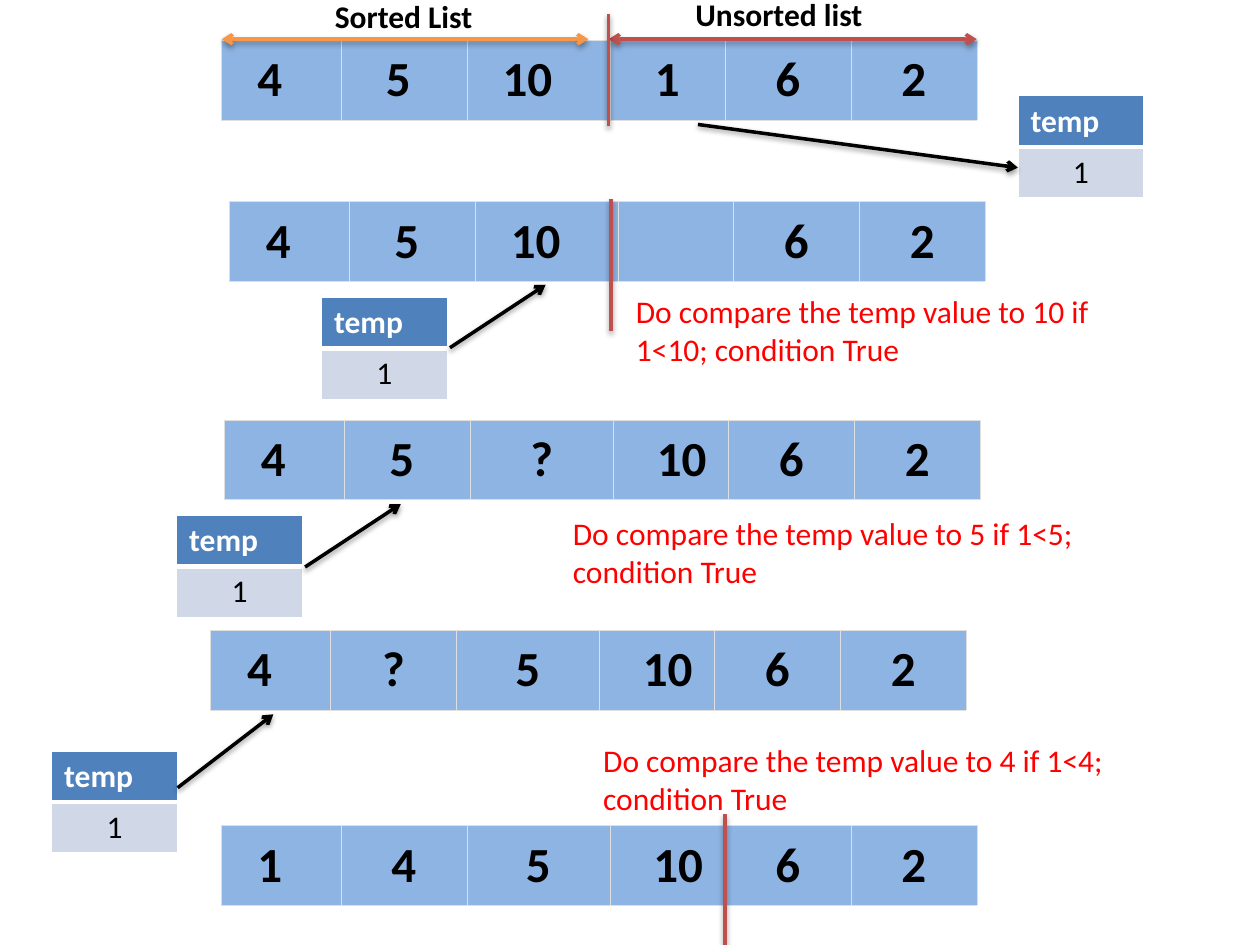
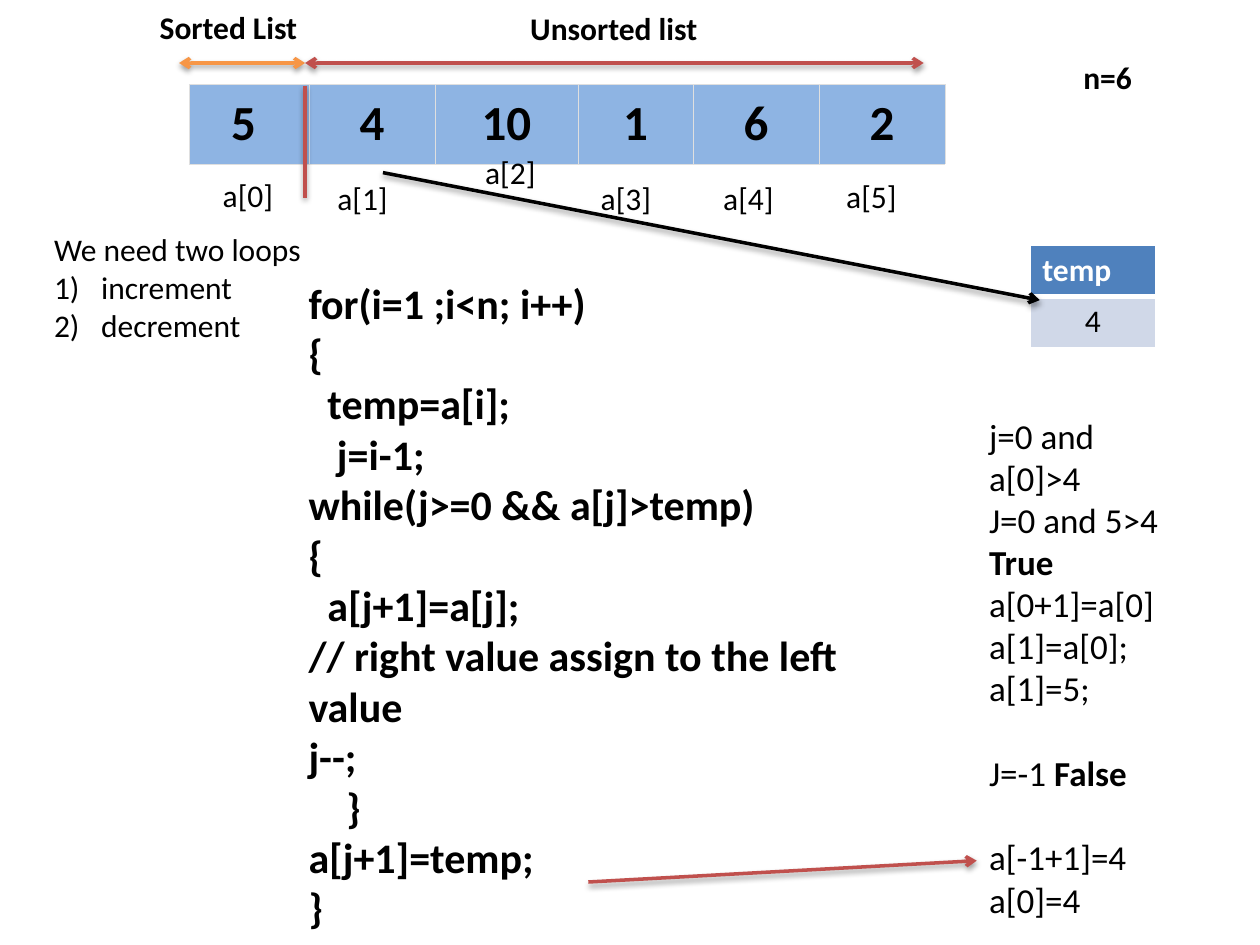
from pptx import Presentation
from pptx.dml.color import RGBColor
from pptx.enum.shapes import MSO_CONNECTOR
from pptx.enum.text import MSO_ANCHOR, PP_ALIGN
from pptx.oxml.ns import qn
from pptx.util import Cm, Pt
from lxml import etree

STRAIGHT = MSO_CONNECTOR.STRAIGHT
MIDDLE = MSO_ANCHOR.MIDDLE
LEFT, CENTER = PP_ALIGN.LEFT, PP_ALIGN.CENTER

THEME = {
    "font": "Calibri",
    "black": "000000", "white": "FFFFFF", "note": "FF0000",
    "sorted": "F79646", "unsorted": "C0504D",
    "array": "8EB4E3", "grid": "DFDFDF",
    "head": "4F81BD", "body": "D0D8E8",
    "text": 18, "trace": 20, "code": 24, "value": 28, "line": 2,
}
COL_W = [2.42, 2.54, 2.88, 2.32, 2.54, 2.54]
ARRAY_H, TEMP_W, TEMP_H = 1.6, 2.54, 1.03
SPACE = 0.22  # width of one space at the value size


def add_text(tf, lines, size="text", color="black", bold=False, align=LEFT):
    """Fill a text frame; a line is a string or a list of run strings."""
    for i, line in enumerate(lines):
        p = tf.add_paragraph() if i else tf.paragraphs[0]
        p.alignment = align
        for text in [line] if isinstance(line, str) else line:
            r = p.add_run()
            r.text = text
            fmt = {"name": THEME["font"], "size": Pt(THEME[size]), "bold": bold}
            for key, value in fmt.items():
                setattr(r.font, key, value)
            r.font.color.rgb = RGBColor.from_string(THEME[color])
    return tf


def add_grid(s, at, widths, heights, fills, edge, widths_pt):
    """Add a table with one fill and one bottom-edge width per row."""
    gf = s.shapes.add_table(len(heights), len(widths), Cm(at[0]), Cm(at[1]),
                            Cm(sum(widths)), Cm(sum(heights)))
    table = gf.table
    table.first_row = table.horz_banding = False
    for col, w in zip(table.columns, widths):
        col.width = Cm(w)
    for i, (row, h) in enumerate(zip(table.rows, heights)):
        row.height = Cm(h)
        top_pt = widths_pt[i - 1] if i else min(widths_pt)
        for cell in row.cells:
            tc_pr = cell._tc.get_or_add_tcPr()
            for side, pt in zip("LRTB", (min(widths_pt), min(widths_pt), top_pt, widths_pt[i])):
                ln = etree.SubElement(tc_pr, qn("a:ln" + side), w=str(Pt(pt)))
                fill = etree.SubElement(ln, qn("a:solidFill"))
                etree.SubElement(fill, qn("a:srgbClr"), val=THEME[edge])
            cell.fill.solid()
            cell.fill.fore_color.rgb = RGBColor.from_string(THEME[fills[i]])
    return table


# Content: arrays give values and their left nudge in spaces;
# lines give start, end, colour, and whether head and tail carry arrows
BOLD = {"bold": True}
NOTE = {"color": "note"}
CODE = [
    "for(i=1 ;i<n; i++)", "{", "  temp=a[i];", "   j=i-1;",
    "while(j>=0 && a[j]>temp)", "{", "  a[j+1]=a[j];",
    "// right value assign to the left value", "j--;", "    }",
    "a[j+1]=temp;", "}",
]
LOOPS = ["We need two loops", "increment", "decrement"]
TRACE = ["j=0 and a[0]>4", "J=0 and 5>4", "True", "a[0+1]=a[0]", "a[1]=a[0];",
         "a[1]=5;", ["J=-1 ", "False"], "a[-1+1]=4", "a[0]=4"]
INDEX_AT = [(4.24, 3.43), (6.55, 3.48), (9.53, 2.97),
            (11.86, 3.48), (14.33, 3.48), (16.81, 3.45)]

SLIDES = [
    {
        "arrays": [
            ((4.45, 0.81), ["4", "5", "10", "1", "6", "2"], [2, 1, 2, 0, 0, 0]),
            ((4.62, 4.06), ["4", "5", "10", "", "6", "2"], [2, 1, 2, 0, 0, 0]),
            ((4.52, 8.46), ["4", "5", "?", "10", "6", "2"], [2, 1, 0, -2, 0, 0]),
            ((4.24, 12.7), ["4", "?", "5", "10", "6", "2"], [2, 0, 0, -2, 0, 0]),
            ((4.45, 16.64), ["1", "4", "5", "10", "6", "2"], [2, 0, 0, -2, 0, 0]),
        ],
        "temps": [((20.52, 1.93), "1"), ((6.48, 5.99), "1"),
                  ((3.56, 10.39), "1"), ((1.04, 15.14), "1")],
        "texts": [
            ((6.5, -0.18, 3.6, 1.02), ["Sorted List"], BOLD),
            ((13.77, -0.23, 4.2, 1.02), ["Unsorted list"], BOLD),
            ((12.57, 5.77, 10.16, 1.8),
             ["Do compare the temp value to 10 if 1<10; condition True"], NOTE),
            ((11.3, 10.24, 12.7, 1.8),
             ["Do compare the temp value to 5 if 1<5; condition True"], NOTE),
            ((11.91, 14.81, 12.7, 1.8),
             ["Do compare the temp value to 4 if 1<4; condition True"], NOTE),
        ],
        "lines": [
            ((4.47, 0.79), (11.86, 0.79), "sorted", True, True),
            ((12.27, 0.79), (19.69, 0.79), "unsorted", True, True),
            ((12.27, 0.28), (12.27, 2.54), "unsorted", False, False),
            ((14.07, 2.51), (20.52, 3.38), "black", False, True),
            ((12.32, 4.01), (12.32, 6.68), "unsorted", False, False),
            ((9.07, 7.01), (11, 5.74), "black", False, True),
            ((6.15, 11.43), (8.08, 10.16), "black", False, True),
            ((3.58, 15.88), (5.51, 14.4), "black", False, True),
            ((14.61, 16.41), (14.61, 19.05), "unsorted", False, False),
        ],
    },
    {
        "arrays": [((3.81, 1.7), ["5", "4", "10", "1", "6", "2"], [1, 0, 0, 0, 0, 0])],
        "temps": [((20.76, 4.95), "4")],
        "texts": [
            ((0.84, 4.52, 20.75, 2.57), LOOPS, {}),
            ((2.97, 0.03, 3.6, 1.02), ["Sorted List"], BOLD),
            ((10.44, 0.05, 4.2, 1.02), ["Unsorted list"], BOLD),
            ((5.97, 5.46, 12.8, 13.59), CODE, {"size": "code", "bold": True}),
            ((21.59, 1.04, 1.91, 1.02), ["n=6"], BOLD),
            *[((x, y, 1.91, 1.02), [f"a[{i}]"], {}) for i, (x, y) in enumerate(INDEX_AT)],
            ((19.69, 8.23, 4.45, 10.52), TRACE, {"size": "trace"}),
        ],
        "lines": [
            ((3.61, 1.27), (6.15, 1.27), "sorted", True, True),
            ((6.15, 1.27), (18.62, 1.27), "unsorted", True, True),
            ((6.15, 1.73), (6.15, 3.99), "unsorted", False, False),
            ((7.72, 3.48), (20.96, 6.05), "black", False, True),
            ((11.86, 17.78), (19.69, 17.35), "unsorted", False, True),
        ],
    },
]

prs = Presentation()
prs.slide_width, prs.slide_height = Cm(25.4), Cm(19.05)

for content in SLIDES:
    s = prs.slides.add_slide(prs.slide_layouts[6])

    # Array strips
    for at, values, nudges in content["arrays"]:
        table = add_grid(s, at, COL_W, [ARRAY_H], ["array"], "grid", [0.18])
        for cell, value, nudge in zip(table.rows[0].cells, values, nudges):
            fmt = {
                "vertical_anchor": MIDDLE,
                "margin_top": Cm(0.2), "margin_bottom": Cm(0.2),
                "margin_left": Cm(0.2 + SPACE * max(-nudge, 0)),
                "margin_right": Cm(0.2 + SPACE * max(nudge, 0)),
            }
            for key, val in fmt.items():
                setattr(cell, key, val)
            if value:
                add_text(cell.text_frame, [value], "value", bold=True, align=CENTER)

    # Temp variable
    for at, value in content["temps"]:
        table = add_grid(s, at, [TEMP_W], [TEMP_H] * 2, ["head", "body"], "white", [3, 1])
        add_text(table.cell(0, 0).text_frame, ["temp"], color="white", bold=True)
        add_text(table.cell(1, 0).text_frame, [value], align=CENTER)

    # Labels, notes and code
    for box, lines, style in content["texts"]:
        tf = s.shapes.add_textbox(*[Cm(v) for v in box]).text_frame
        tf.word_wrap = True
        add_text(tf, lines, **style)
        if lines is LOOPS:
            for p in tf.paragraphs[1:]:
                p_pr = p._p.get_or_add_pPr()
                p_pr.set("marL", str(Cm(0.95)))
                p_pr.set("indent", str(-Cm(0.95)))
                etree.SubElement(p_pr, qn("a:buAutoNum"), type="arabicParenR")
        if lines is TRACE:
            for p in tf.paragraphs:
                if p.text.startswith(("J=-1", "a[-1")):
                    p.space_before = Pt(24.4)
                for r in p.runs:
                    r.font.bold = r.text in ("True", "False")

    # Dividers and arrows, with the soft shadow of the connector style
    for start, end, color, head, tail in content["lines"]:
        c = s.shapes.add_connector(STRAIGHT, *[Cm(v) for v in start + end])
        c.line.width = Pt(THEME["line"])
        c.line.color.rgb = RGBColor.from_string(THEME[color])
        ln = c.line._get_or_add_ln()
        for tag, shown in (("a:headEnd", head), ("a:tailEnd", tail)):
            if shown:
                etree.SubElement(ln, qn(tag), type="arrow")

prs.save("out.pptx")
